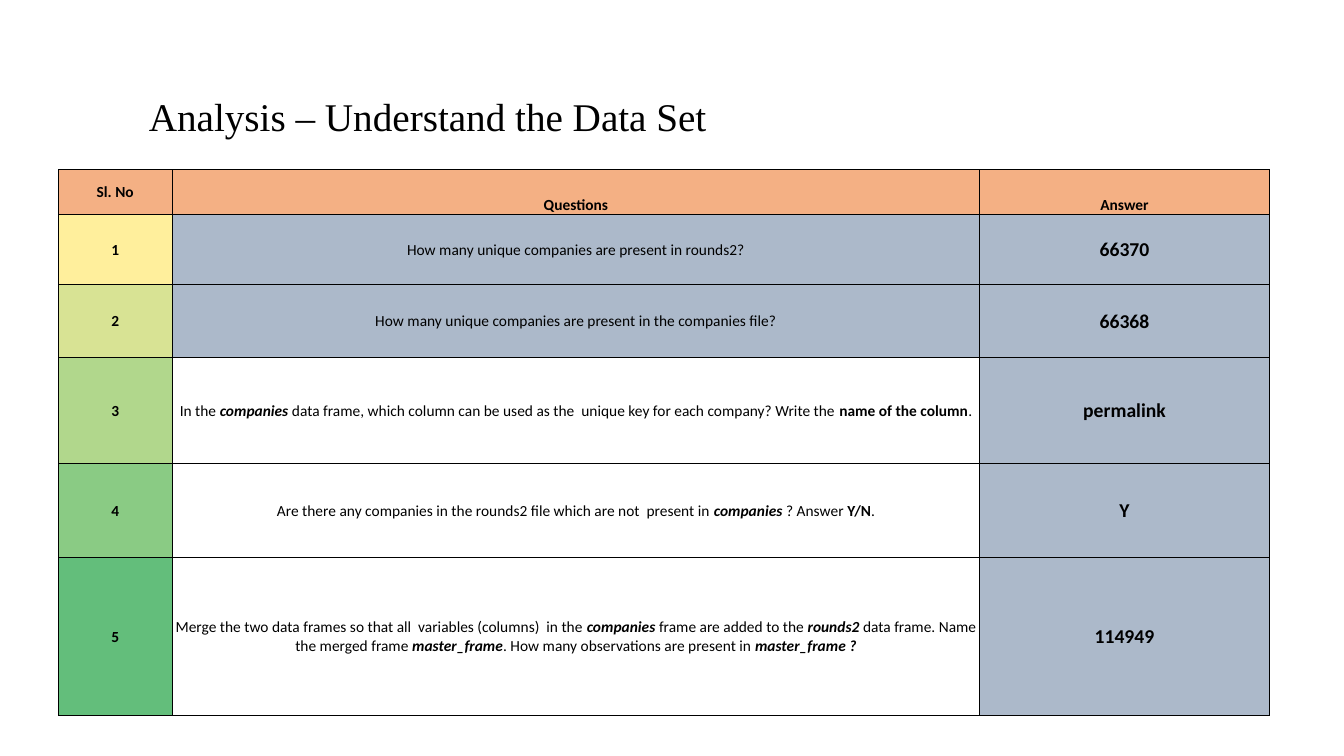
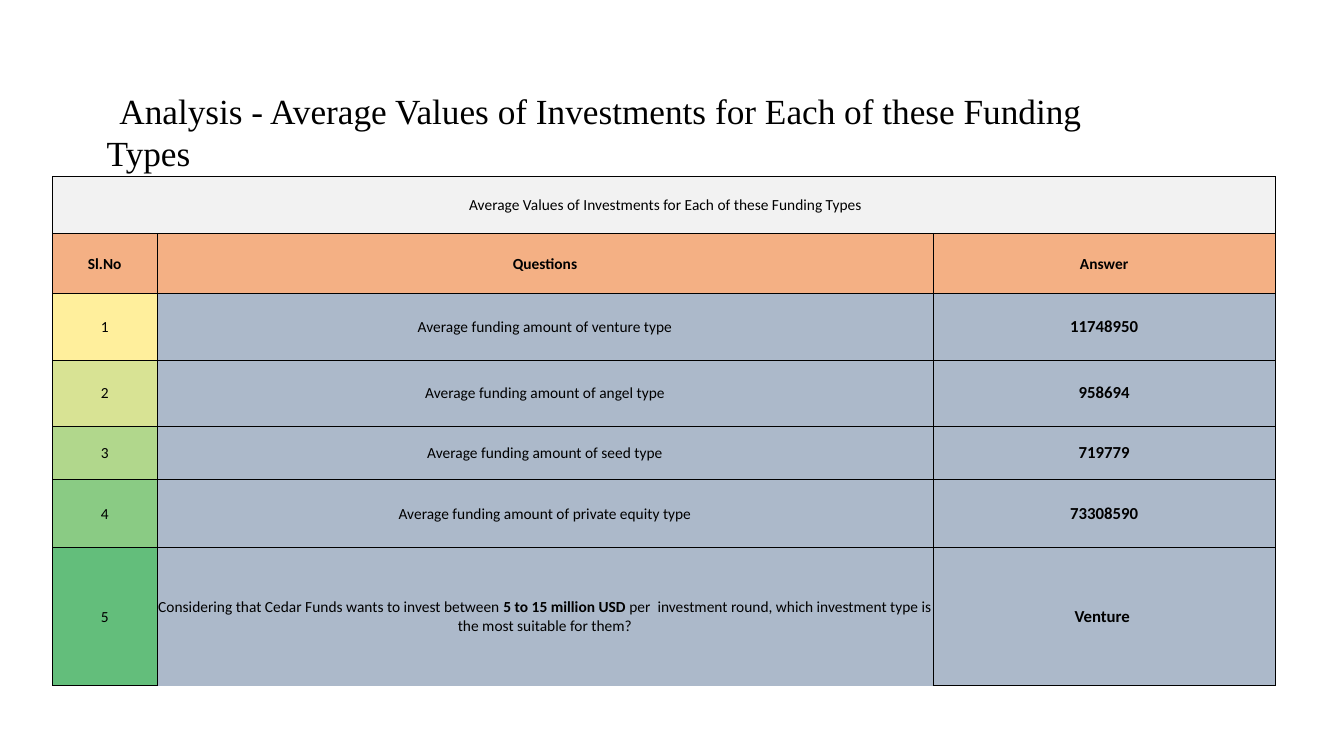
"""Build two question-and-answer table slides."""
from dataclasses import dataclass
from typing import NamedTuple

from lxml import etree
from pptx import Presentation
from pptx import util as u
from pptx.dml.color import RGBColor
from pptx.enum import text
from pptx.oxml import ns

HUES = {
    "ink": "000000",
    "head": "F4B084",
    "band": "F2F2F2",
    "body": "ACB9CA",
}
SCALE = ("FFEF9C", "D8E394", "B1D78C", "8ACB84", "63BE7B")
SERIF, SANS = "Times New Roman", "Calibri"
PLAIN = "{2D5ABB26-0587-4C30-8999-92F81FD0307C}"
MID, LOW = text.MSO_ANCHOR.MIDDLE, text.MSO_ANCHOR.BOTTOM


class Run(NamedTuple):
    text: str
    bold: bool = False
    slant: bool = False


class Item(NamedTuple):
    ask: tuple[Run, ...]
    reply: str
    fill: str = HUES["body"]
    open: bool = False


class Box(NamedTuple):
    left: float
    top: float
    width: float
    height: float


@dataclass(frozen=True)
class Sheet:
    title: str
    size: float
    lead: float
    box: Box
    left: float
    top: float
    cols: tuple[float, ...]
    rows: tuple[float, ...]
    head: tuple[str, ...]
    items: tuple[Item, ...]
    reply: float
    strong: bool
    anchor: text.MSO_ANCHOR
    band: str = ""


def term(word: str) -> Run:
    return Run(word, True, True)


def rule(cell, sides: str, drawn: bool = True) -> None:
    props = cell._tc.get_or_add_tcPr()
    for side in sides:
        line = etree.SubElement(props, ns.qn(f"a:ln{side}"), w=str(u.Pt(0.5)))
        if drawn:
            fill = etree.SubElement(line, ns.qn("a:solidFill"))
            etree.SubElement(fill, ns.qn("a:srgbClr"), val=HUES["ink"])
        else:
            etree.SubElement(line, ns.qn("a:noFill"))


def put(cell, runs: tuple[Run, ...], fill: str = "", size: float = 11,
        anchor: text.MSO_ANCHOR = MID, open: bool = False) -> None:
    rule(cell, "LRT")
    rule(cell, "B", not open)
    if fill:
        cell.fill.solid()
        cell.fill.fore_color.rgb = RGBColor.from_string(fill)
    else:
        cell.fill.background()
    cell.margin_left = cell.margin_right = cell.margin_top = u.Cm(0.02)
    cell.margin_bottom = 0
    cell.vertical_anchor = anchor
    para = cell.text_frame.paragraphs[0]
    para.alignment = text.PP_ALIGN.CENTER
    font = para.font
    font.name, font.size = SANS, u.Pt(size)
    font.color.rgb = RGBColor.from_string(HUES["ink"])
    same = len({(run.bold, run.slant) for run in runs}) == 1
    if same:
        font.bold, font.italic = runs[0].bold, runs[0].slant
    for run in runs:
        part = para.add_run()
        part.text = run.text
        if not same:
            part.font.bold, part.font.italic = run.bold, run.slant


def draw_title(slide, sheet: Sheet) -> None:
    frame = slide.shapes.add_textbox(*map(u.Cm, sheet.box)).text_frame
    frame.word_wrap = True
    frame.vertical_anchor = MID
    para = frame.paragraphs[0]
    para.line_spacing = 0.9
    para.font.name = SERIF
    para.font.color.rgb = RGBColor.from_string(HUES["ink"])
    for words, size, bold in ((" ", sheet.lead, True), (sheet.title, sheet.size, False)):
        part = para.add_run()
        part.text = words
        part.font.size, part.font.bold = u.Pt(size), bold


def draw_table(slide, sheet: Sheet) -> None:
    area = (sheet.left, sheet.top, sum(sheet.cols), sum(sheet.rows))
    table = slide.shapes.add_table(
        len(sheet.rows), len(sheet.cols), *map(u.Cm, area)).table
    table.first_row = table.horz_banding = False
    table._tbl.tblPr.find(ns.qn("a:tableStyleId")).text = PLAIN
    for col, width in zip(table.columns, sheet.cols):
        col.width = u.Cm(width)
    for row, height in zip(table.rows, sheet.rows):
        row.height = u.Cm(height)

    first = 0
    if sheet.band:
        table.cell(0, 0).merge(table.cell(0, len(sheet.cols) - 1))
        put(table.cell(0, 0), (Run(sheet.band),), HUES["band"])
        for col in range(1, len(sheet.cols)):
            rule(table.cell(0, col), "LRTB")
        first = 1
    for col, name in enumerate(sheet.head):
        put(table.cell(first, col), (Run(name, True),), HUES["head"],
            anchor=sheet.anchor if col else MID)
    for num, (item, hue) in enumerate(zip(sheet.items, SCALE), 1):
        row = first + num
        put(table.cell(row, 0), (Run(str(num), sheet.strong),), hue)
        put(table.cell(row, 1), item.ask, item.fill, open=item.open)
        put(table.cell(row, 2), (Run(item.reply, True),), HUES["body"], sheet.reply)


SHEETS = (
    Sheet(
        title="Analysis – Understand the Data Set",
        size=28, lead=40, box=Box(3.15, 1.78, 25.88, 2.16),
        left=1.47, top=4.27,
        cols=(2.87, 20.35, 7.3),
        rows=(1.13, 1.77, 1.84, 2.67, 2.37, 3.98),
        head=("Sl. No", "Questions", "Answer"),
        items=(
            Item((Run("How many unique companies are present in rounds2?"),), "66370"),
            Item((Run("How many unique companies are present in the companies file?"),),
                 "66368"),
            Item((Run("In the "), term("companies"),
                  Run(" data frame, which column can be used as the  unique key"
                      " for each company? Write the "),
                  Run("name of the column", True), Run(".")), "permalink", ""),
            Item((Run("Are there any companies in the rounds2 file which are not"
                      "  present in "),
                  term("companies "), Run("? Answer "), Run("Y/N", True), Run(".")),
                 "Y", ""),
            Item((Run("Merge the two data frames so that all  variables (columns)"
                      "  in the "),
                  term("companies "), Run("frame are added to the "), term("rounds2"),
                  Run(" data frame. Name the merged frame "), term("master_frame"),
                  Run(". How many observations are present in "),
                  term("master_frame ?")), "114949", ""),
        ),
        reply=14, strong=True, anchor=LOW,
    ),
    Sheet(
        title="Analysis - Average Values of Investments for Each of these Funding Types",
        size=25.2, lead=36, box=Box(2.44, 2.39, 27.3, 1.65),
        left=1.32, top=4.45,
        cols=(2.64, 19.55, 8.63),
        rows=(1.44, 1.49, 1.69, 1.66, 1.36, 1.71, 3.48),
        head=("Sl.No", "Questions", "Answer"),
        items=(
            *(Item((Run(f"Average funding amount of {kind} type"),), reply)
              for kind, reply in (("venture", "11748950"), ("angel", "958694"),
                                  ("seed", "719779"), ("private equity", "73308590"))),
            Item((Run("Considering that Cedar Funds wants to invest between "),
                  Run("5 to 15 million USD", True),
                  Run(" per  investment round, which investment type is the most"
                      " suitable for them?")), "Venture ", open=True),
        ),
        reply=12, strong=False, anchor=MID,
        band=" Average Values of Investments for Each of these Funding Types",
    ),
)


def main() -> None:
    deck = Presentation()
    deck.slide_width, deck.slide_height = u.Cm(33.87), u.Cm(19.05)
    for sheet in SHEETS:
        slide = deck.slides.add_slide(deck.slide_layouts[6])
        draw_title(slide, sheet)
        draw_table(slide, sheet)
    deck.save("out.pptx")


if __name__ == "__main__":
    main()
